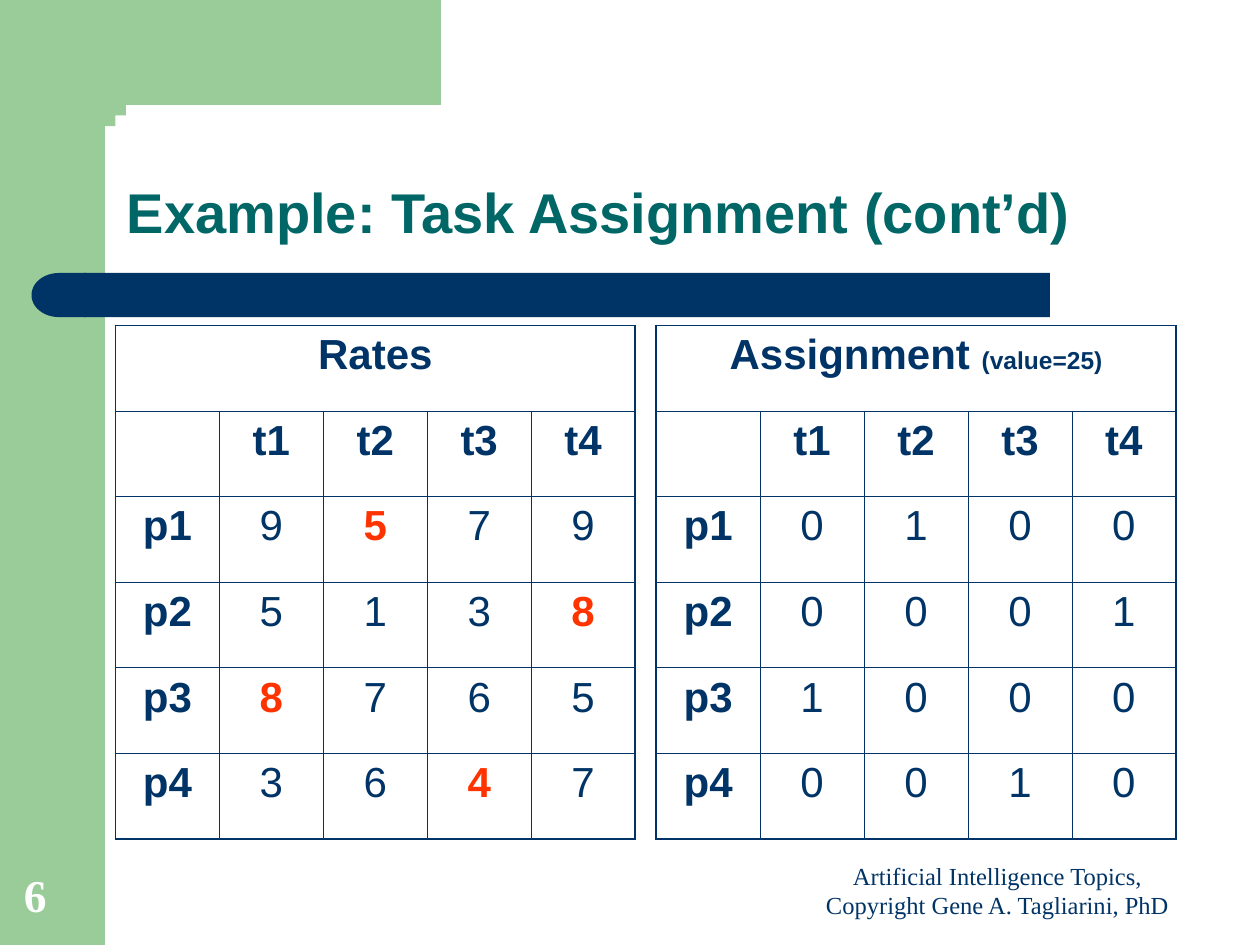
import math

import pptx
import pptx.dml.color
import pptx.enum.shapes
import pptx.enum.text
import pptx.oxml
import pptx.oxml.ns
import pptx.util

COLORS = {"green": "99CC99", "navy": "003366", "teal": "006666",
          "red": "FF3300", "white": "FFFFFF"}
SHAPES = pptx.enum.shapes.MSO_SHAPE
ALIGN = pptx.enum.text.PP_ALIGN
SLIDE_WIDTH = pptx.util.Inches(10)
SLIDE_HEIGHT = pptx.util.Inches(7.5)
GRID = SLIDE_WIDTH / 120  # the slide is 120 columns by 90 rows
THICK, THIN = 1.08, 0.45

TASKS = ["t1", "t2", "t3", "t4"]
RATES = [[9, 5, 7, 9], [5, 1, 3, 8], [8, 7, 6, 5], [3, 6, 4, 7]]
ASSIGNMENT = [[0, 1, 0, 0], [0, 0, 0, 1], [1, 0, 0, 0], [0, 0, 1, 0]]


def cells(*counts):
    """Turn grid counts into slide lengths."""
    return [round(count * GRID) for count in counts]


def color(name):
    return pptx.dml.color.RGBColor.from_string(COLORS[name])


def add_span(para, text, size=24, font="Arial", ink="navy", bold=False):
    span = para.add_run()
    span.text = text
    span.font.size = pptx.util.Pt(size)
    span.font.name = font
    span.font.bold = bold
    span.font.color.rgb = color(ink)


def add_text(page, area, text, align=ALIGN.LEFT, spacing=None, **style):
    frame = page.shapes.add_textbox(*cells(*area)).text_frame
    frame.word_wrap = True
    frame.vertical_anchor = pptx.enum.text.MSO_ANCHOR.BOTTOM
    para = frame.paragraphs[0]
    para.alignment = align
    para.line_spacing = spacing
    add_span(para, text, **style)


def paint(shape, fill):
    shape.shadow.inherit = False
    shape.fill.solid()
    shape.fill.fore_color.rgb = color(fill)
    shape.line.fill.background()


def add_block(page, kind, area, fill):
    shape = page.shapes.add_shape(kind, *cells(*area))
    paint(shape, fill)
    return shape


def add_corner(page):
    """Green top band whose inner corner is a quarter circle."""
    radius, center = 4, 14
    angles = [math.radians(270 - 7.5 * step) for step in range(13)]
    arc = [(center + radius * math.cos(a), center + radius * math.sin(a))
           for a in angles]
    outline = [(42, 10), *arc, (10, 15.4), (6, 15.4), (6, 0)]
    builder = page.shapes.build_freeform(42, 0, scale=GRID)
    builder.add_line_segments(outline, close=True)
    paint(builder.convert_to_shape(), "green")


def set_borders(cell, widths):
    """Draw the left, right, top and bottom borders, widths in points."""
    properties = cell._tc.get_or_add_tcPr()
    for index, (side, width) in enumerate(zip("LRTB", widths)):
        line = pptx.oxml.parse_xml(
            f'<a:ln{side} {pptx.oxml.ns.nsdecls("a")} w="{pptx.util.Pt(width)}">'
            f'<a:solidFill><a:srgbClr val="{COLORS["navy"]}"/></a:solidFill>'
            f'</a:ln{side}>')
        properties.insert(index, line)


def fill_cell(cell, spans, before=6):
    para = cell.text_frame.paragraphs[0]
    para.alignment = ALIGN.CENTER
    para.space_before = pptx.util.Pt(before)
    for text, style in spans:
        add_span(para, text, **style)


def add_matrix(page, left, heading, values, marked=(), before=6):
    """Table with a merged heading, task columns and processor rows."""
    row_count, column_count = len(values) + 2, len(TASKS) + 1
    frame = page.shapes.add_table(row_count, column_count,
                                  *cells(left, 31, 49.5, 48.9))
    table = frame.table
    table.first_row = table.horz_banding = False

    # Fills and borders: thick around the outside, thin inside
    for row in range(row_count):
        for column in range(column_count):
            cell = table.cell(row, column)
            cell.fill.background()
            outer = (column == 0, row == 0 or column == column_count - 1,
                     row == 0, row == row_count - 1)
            set_borders(cell, [THICK if edge else THIN for edge in outer])

    # Heading and labels
    table.cell(0, 0).merge(table.cell(0, column_count - 1))
    fill_cell(table.cell(0, 0), heading, before)
    for column, task in enumerate(TASKS, 1):
        fill_cell(table.cell(1, column), [(task, {"bold": True})])

    # Values, with the chosen ones in bold red
    for row, numbers in enumerate(values):
        label = f"p{row + 1}"
        fill_cell(table.cell(row + 2, 0), [(label, {"bold": True})])
        for column, number in enumerate(numbers):
            chosen = (row, column) in marked
            style = {"bold": chosen, "ink": "red" if chosen else "navy"}
            fill_cell(table.cell(row + 2, column + 1), [(str(number), style)])


def main():
    deck = pptx.Presentation()
    deck.slide_width, deck.slide_height = SLIDE_WIDTH, SLIDE_HEIGHT
    page = deck.slides.add_slide(deck.slide_layouts[6])

    # Background decoration
    add_block(page, SHAPES.RECTANGLE, (0, 0, 10, 90), "green")
    add_corner(page)
    bar = add_block(page, SHAPES.ROUNDED_RECTANGLE, (8, 26, 92, 4.2), "navy")
    bar.adjustments[0] = 0
    bar_end = add_block(page, SHAPES.FLOWCHART_DELAY, (3, 26, 5.2, 4.2), "navy")
    bar_end._element.spPr.xfrm.set("flipH", "1")

    # Title
    add_text(page, (10.9, 10.9, 102.1, 13.1), "Example: Task Assignment (cont’d)",
             spacing=0.9, size=32, ink="teal", bold=True)

    # Tables: the chosen rates are those assigned a 1
    chosen = {(row, column) for row, numbers in enumerate(ASSIGNMENT)
              for column, number in enumerate(numbers) if number}
    add_matrix(page, 11, [("Rates", {"bold": True})], RATES, marked=chosen)
    add_matrix(page, 62.5, [("Assignment ", {"bold": True}),
                            ("(value=25)", {"bold": True, "size": 14})],
               ASSIGNMENT, before=3.5)

    # Footer and page number
    add_text(page, (76, 82, 38, 6.2),
             "Artificial Intelligence Topics, Copyright Gene A. Tagliarini, PhD",
             align=ALIGN.CENTER, size=14, font="Times New Roman")
    add_text(page, (1.1, 82, 7.7, 6.4), "6", size=26, font="Times New Roman",
             ink="white", bold=True)

    deck.save("out.pptx")


if __name__ == "__main__":
    main()
